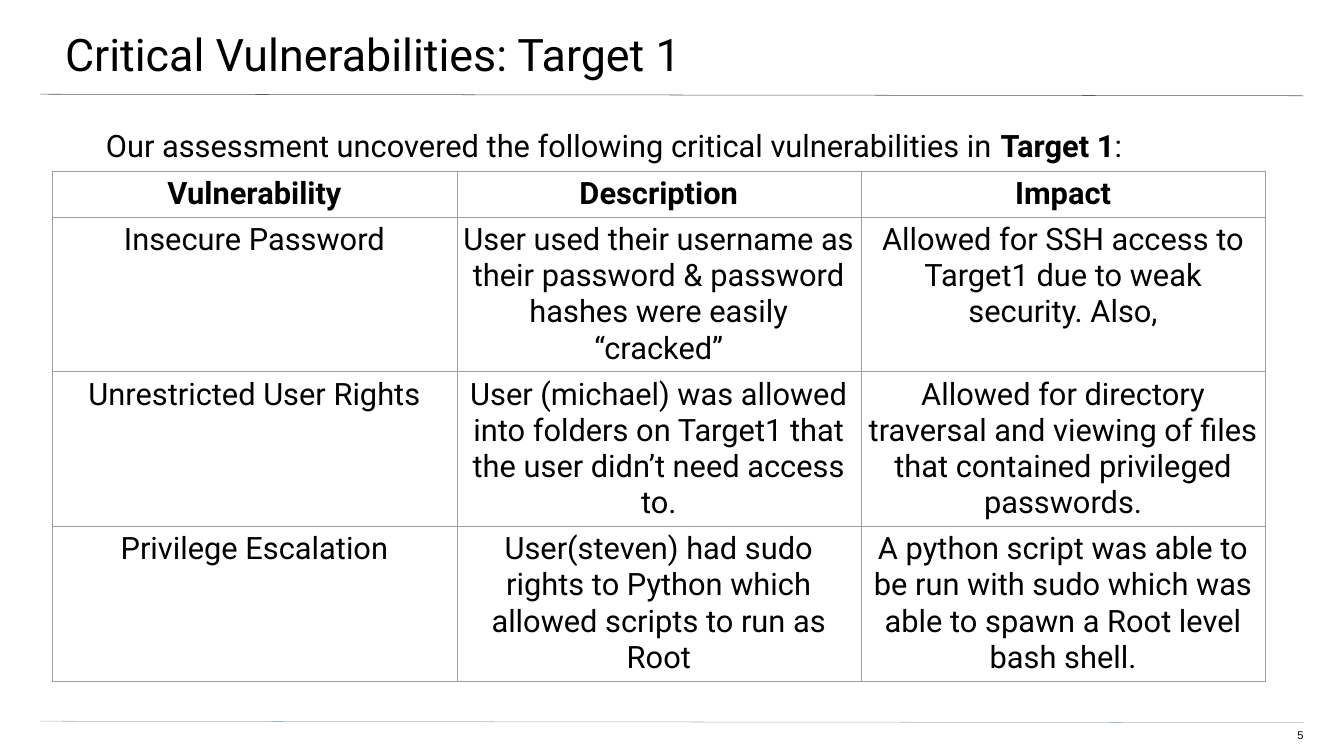
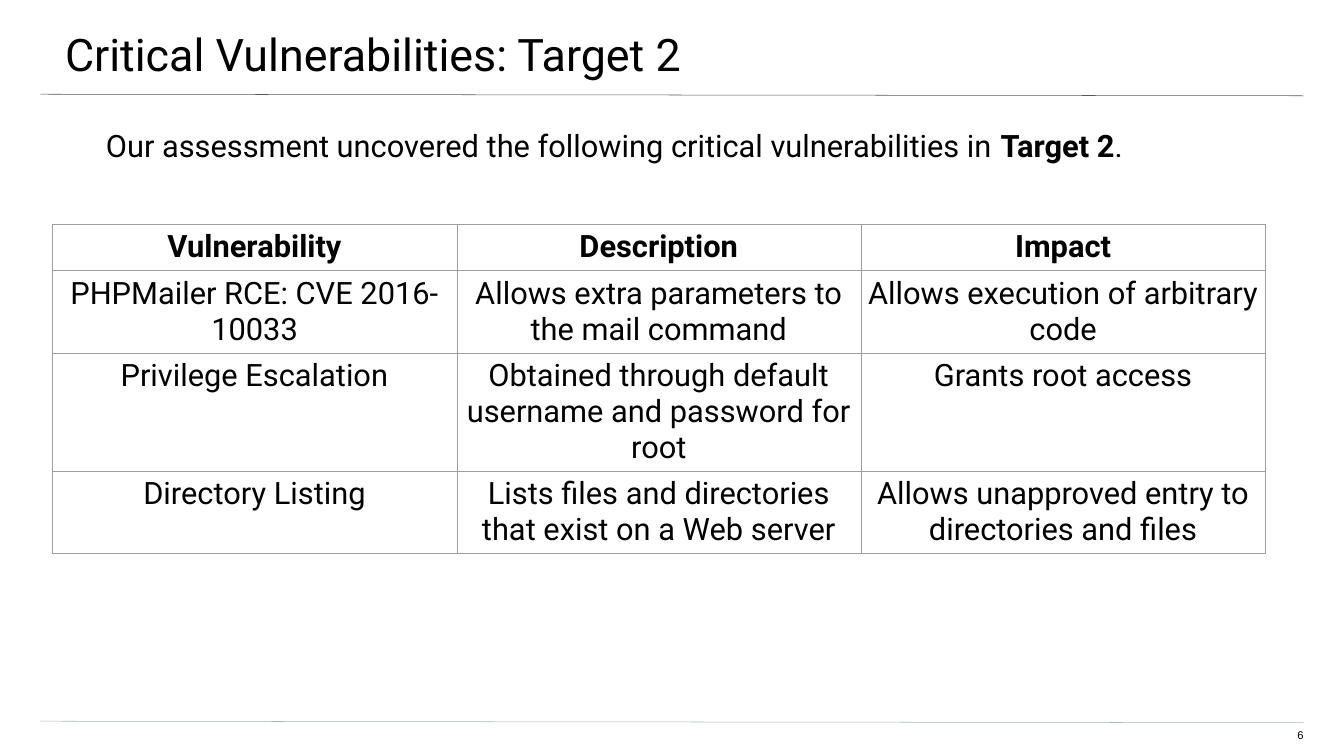
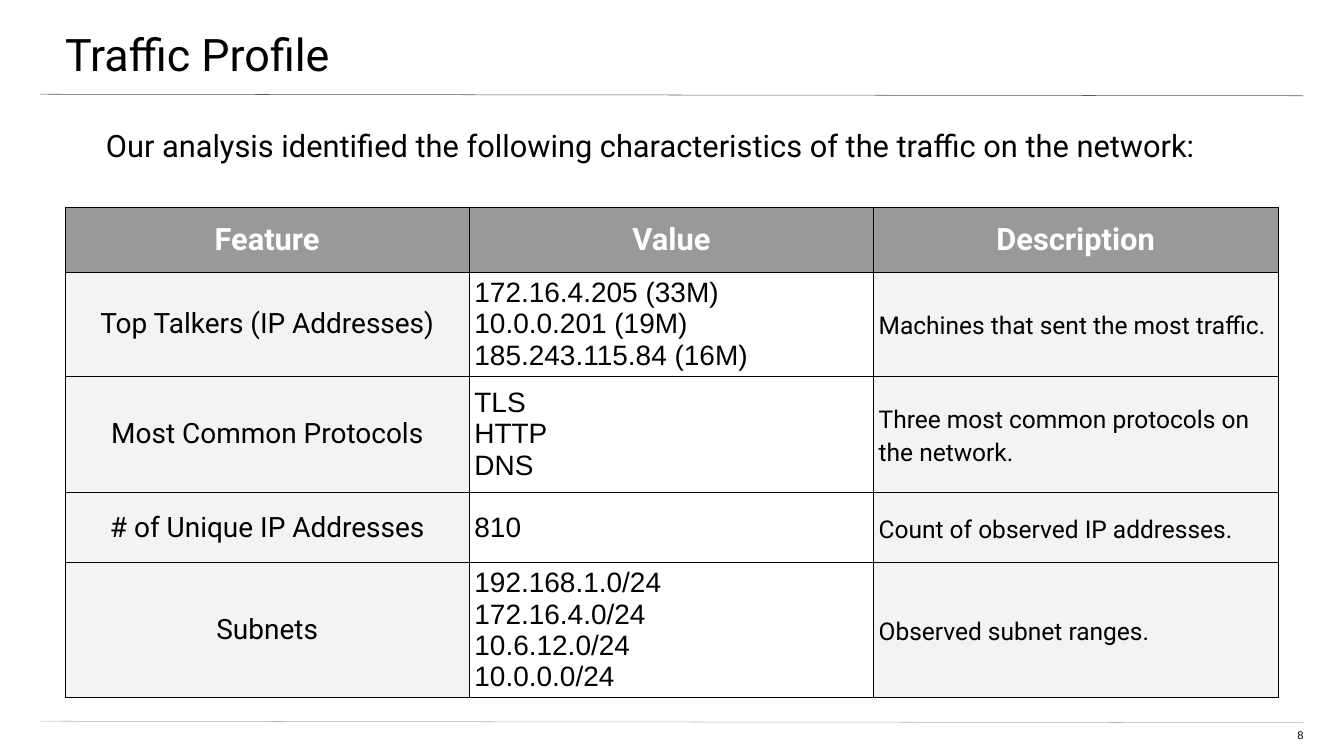
"""Builds three security assessment slides: two vulnerability tables and a traffic profile."""
from lxml.etree import SubElement
from pptx import Presentation
from pptx.dml.color import RGBColor
from pptx.enum.shapes import MSO_CONNECTOR
from pptx.enum.text import MSO_ANCHOR, MSO_AUTO_SIZE, PP_ALIGN
from pptx.oxml.ns import qn
from pptx.util import Inches, Pt

BLACK, WHITE = "000000", "FFFFFF"
HEADER_GRAY, CELL_GRAY, GRID_GRAY = "999999", "F3F3F3", "9E9E9E"
RULES = [(1.87, "595959"), (14.31, "A9B7C0")]
COLUMN_WIDTH = 8.02


def color(hex_code):
    return RGBColor.from_string(hex_code)


def style(paragraph, size, font="Roboto", hex_code=BLACK, bold=False, align=PP_ALIGN.LEFT):
    paragraph.alignment = align
    paragraph.font.name = font
    paragraph.font.size = Pt(size)
    paragraph.font.bold = bold
    paragraph.font.color.rgb = color(hex_code)


target_intro = "Our assessment uncovered the following critical vulnerabilities in "
target_header = ["Vulnerability", "Description", "Impact"]
pages = [
    {
        "title": "Critical Vulnerabilities: Target 1", "number": "5",
        "intro": [target_intro, "Target 1", ":"],
        "left": 1.04, "top": 3.39, "heights": [0.42] * 4, "profile": False,
        "rows": [
            target_header,
            ["Insecure Password",
             "User used their username as their password & password hashes were easily “cracked”",
             "Allowed for SSH access to Target1 due to weak security. Also,"],
            ["Unrestricted User Rights",
             "User (michael) was allowed into folders on Target1 that the user didn’t need access to.",
             "Allowed for directory traversal and viewing of files that contained privileged passwords."],
            ["Privilege Escalation",
             "User(steven) had sudo rights to Python which allowed scripts to run as Root",
             "A python script was able to be run with sudo which was able to spawn a Root level bash shell."],
        ],
    },
    {
        "title": "Critical Vulnerabilities: Target 2", "number": "6",
        "intro": [target_intro, "Target 2", "."],
        "left": 1.04, "top": 4.45, "heights": [0.42] * 4, "profile": False,
        "rows": [
            target_header,
            ["PHPMailer RCE: CVE 2016-10033",
             "Allows extra parameters to the mail command",
             "Allows execution of arbitrary code"],
            ["Privilege Escalation",
             "Obtained through default username and password for root",
             "Grants root access"],
            ["Directory Listing",
             "Lists files and directories that exist on a Web server",
             "Allows unapproved entry to directories and files"],
        ],
    },
    {
        "title": "Traffic Profile", "number": "8",
        "intro": ["Our analysis identified the following characteristics of the traffic on the network:"],
        "left": 1.29, "top": 4.12, "heights": [1.28, 1.39, 2.31, 1.39, 1.39], "profile": True,
        "rows": [
            ["Feature", "Value", "Description"],
            ["Top Talkers (IP Addresses)",
             "172.16.4.205 (33M)\n10.0.0.201 (19M)\n185.243.115.84 (16M)",
             "Machines that sent the most traffic."],
            ["Most Common Protocols", "TLS\nHTTP\nDNS",
             "Three most common protocols on the network."],
            ["# of Unique IP Addresses", "810", "Count of observed IP addresses."],
            ["Subnets", "192.168.1.0/24\n172.16.4.0/24\n10.6.12.0/24\n10.0.0.0/24",
             "Observed subnet ranges."],
        ],
    },
]

deck = Presentation()
deck.slide_width, deck.slide_height = Inches(26.66), Inches(15)

for page in pages:
    slide = deck.slides.add_slide(deck.slide_layouts[5])
    slide.background.fill.solid()
    slide.background.fill.fore_color.rgb = color(WHITE)

    for y, hex_code in RULES:
        rule = slide.shapes.add_connector(
            MSO_CONNECTOR.STRAIGHT, Inches(0.8), Inches(y), Inches(25.86), Inches(y + 0.03))
        rule.line.color.rgb = color(hex_code)
        rule.line.width = Pt(0.75)
        SubElement(rule._element.spPr, qn("a:effectLst"))

    title = slide.shapes.title
    title.left, title.top, title.width, title.height = (Inches(v) for v in (-0.04, 0, 26.73, 1.56))
    number = slide.shapes.add_textbox(Inches(25.1), Inches(14.46), Inches(0.76), Inches(0.31))
    intro = slide.shapes.add_textbox(Inches(0.77), Inches(2.51), Inches(25.09), Inches(10.79))
    for box, insets in ((title, (1.33, 0.53, 0.8, 0.27)),
                        (number, (0, 0, 0, 0.27)),
                        (intro, (1.33, 0, 1.33, 2.67))):
        frame = box.text_frame
        frame.margin_left, frame.margin_top, frame.margin_right, frame.margin_bottom = map(Inches, insets)
        frame.word_wrap = True
        frame.auto_size = MSO_AUTO_SIZE.NONE
        frame.vertical_anchor = MSO_ANCHOR.TOP

    title.text_frame.text = page["title"]
    style(title.text_frame.paragraphs[0], 64)
    number.text_frame.text = page["number"]
    style(number.text_frame.paragraphs[0], 16, "Arial", align=PP_ALIGN.RIGHT)
    sentence = intro.text_frame.paragraphs[0]
    style(sentence, 44)
    for i, words in enumerate(page["intro"]):
        run = sentence.add_run()
        run.text = words
        if i == 1:
            run.font.bold = True

    rows, heights, profile = page["rows"], page["heights"], page["profile"]
    table = slide.shapes.add_table(
        len(rows), 3, Inches(page["left"]), Inches(page["top"]),
        Inches(3 * COLUMN_WIDTH), Inches(sum(heights))).table
    table.first_row = table.horz_banding = False
    for column in table.columns:
        column.width = Inches(COLUMN_WIDTH)
    for r, (texts, height) in enumerate(zip(rows, heights)):
        table.rows[r].height = Inches(height)
        for c, text in enumerate(texts):
            cell = table.cell(r, c)
            cell.text = text
            cell.margin_left = cell.margin_right = cell.margin_top = cell.margin_bottom = Inches(0.1)
            cell.vertical_anchor = MSO_ANCHOR.MIDDLE if profile else MSO_ANCHOR.TOP
            for side in ("a:lnL", "a:lnR", "a:lnT", "a:lnB"):
                edge = SubElement(cell._tc.get_or_add_tcPr(), qn(side), w=str(Pt(0.75)))
                edge_fill = SubElement(edge, qn("a:solidFill"))
                SubElement(edge_fill, qn("a:srgbClr"), val=BLACK if profile else GRID_GRAY)
            if profile and (r == 0 or c != 1):
                cell.fill.solid()
                cell.fill.fore_color.rgb = color(CELL_GRAY if r else HEADER_GRAY)
            else:
                cell.fill.background()
            for paragraph in cell.text_frame.paragraphs:
                if r == 0 or not profile:
                    style(paragraph, 44, hex_code=WHITE if profile else BLACK,
                          bold=r == 0, align=PP_ALIGN.CENTER)
                elif c == 0:
                    style(paragraph, 40, align=PP_ALIGN.CENTER)
                elif c == 1:
                    style(paragraph, 40, "Arial")
                else:
                    style(paragraph, 35)
                    paragraph.line_spacing = 1.15
                    paragraph.space_after = Pt(10)

deck.save("out.pptx")
